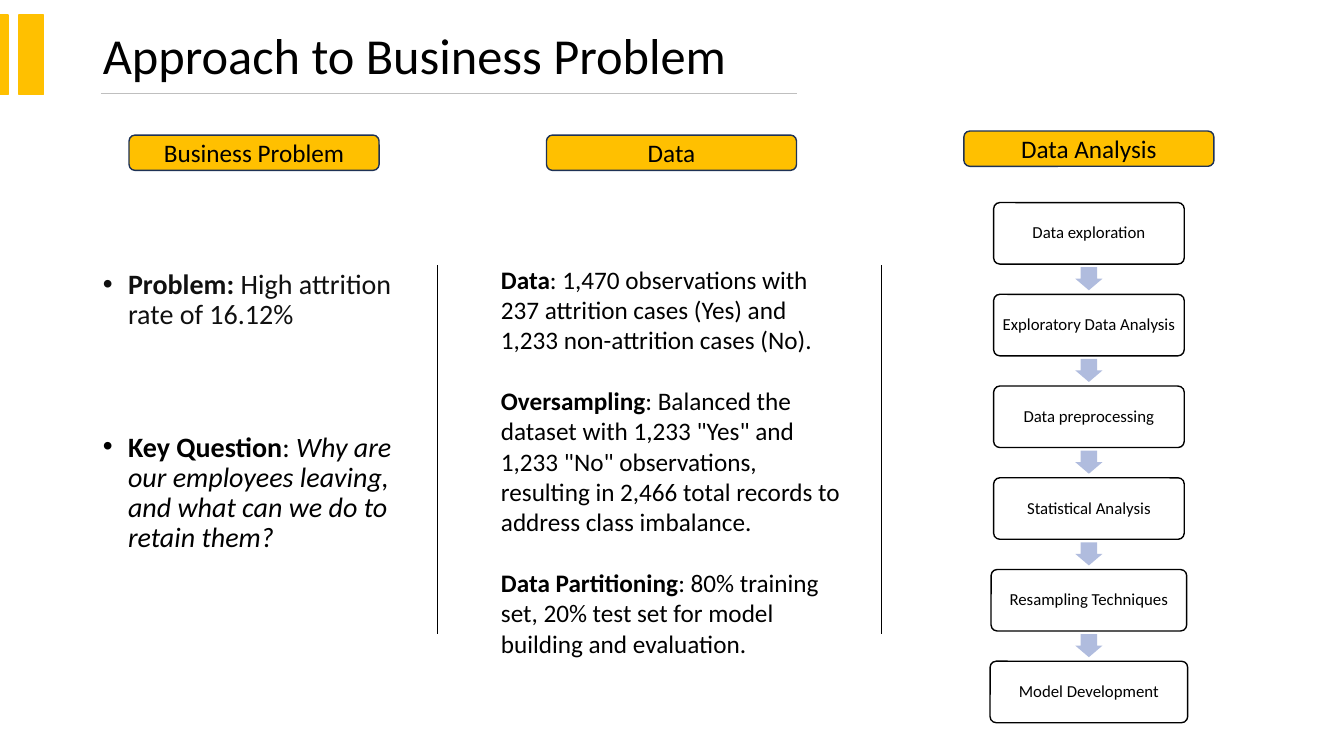
from lxml import etree
from pptx import Presentation
from pptx.dml.color import RGBColor
from pptx.enum.shapes import MSO_CONNECTOR, MSO_SHAPE
from pptx.enum.text import MSO_ANCHOR, MSO_AUTO_SIZE, PP_ALIGN
from pptx.oxml.ns import qn
from pptx.util import Inches, Pt

RECTANGLE = MSO_SHAPE.RECTANGLE
ROUNDED = MSO_SHAPE.ROUNDED_RECTANGLE
DOWN_ARROW = MSO_SHAPE.DOWN_ARROW
STRAIGHT = MSO_CONNECTOR.STRAIGHT
MIDDLE, TOP = MSO_ANCHOR.MIDDLE, MSO_ANCHOR.TOP
CENTER, LEFT = PP_ALIGN.CENTER, PP_ALIGN.LEFT

FONT = "Calibri"
GOLD, NAVY, ARROW_BLUE = "FFC000", "1E3256", "B0BCDE"
BLACK, INK, WHITE, GRAY = "000000", "101010", "FFFFFF", "BFBFBF"

STEPS = ["Data exploration", "Exploratory Data Analysis", "Data preprocessing",
         "Statistical Analysis", "Resampling Techniques", "Model Development"]
STEP_WIDTHS = [1.89, 1.89, 1.89, 1.89, 1.94, 1.96]

# Each paragraph is a list of (text, style, colour)
PROBLEM = [
    [("Problem: ", "bold", INK), ("High attrition rate of 16.12%", "", INK)],
    [("Key Question", "bold", BLACK), (": ", "", BLACK),
     ("Why are our employees leaving, and what can we do to retain them?",
      "italic", BLACK)],
]
DATA = [
    [("Data", "bold", BLACK),
     (": 1,470 observations with 237 attrition cases (Yes) and "
      "1,233 non-attrition cases (No).", "", BLACK)],
    [("Oversampling", "bold", BLACK),
     (': Balanced the dataset with 1,233 "Yes" and 1,233 "No" observations, '
      "resulting in 2,466 total records to address class imbalance.", "", BLACK)],
    [("Data Partitioning", "bold", BLACK),
     (": 80% training set, 20% test set for model building and evaluation.",
      "", BLACK)],
]


def rgb(color):
    return RGBColor.from_string(color)


def place(item, box):
    item.left, item.top, item.width, item.height = map(Inches, box)


def add_box(page, kind, box, fill, line=None):
    shape = page.shapes.add_shape(kind, *map(Inches, box))
    shape.shadow.inherit = False
    shape.fill.solid()
    shape.fill.fore_color.rgb = rgb(fill)
    if line:
        shape.line.color.rgb = rgb(line)
        shape.line.width = Pt(1)
    else:
        shape.line.fill.background()
    return shape


def add_rule(page, start, end, color):
    rule = page.shapes.add_connector(STRAIGHT, *map(Inches, start + end))
    rule.line.color.rgb = rgb(color)
    rule.line.width = Pt(0.5)
    etree.SubElement(rule._element.spPr, qn("a:effectLst"))


def set_label(shape, text, size, alignment=CENTER):
    frame = shape.text_frame
    frame.word_wrap = True
    frame.vertical_anchor = MIDDLE
    para = frame.paragraphs[0]
    para.text = text
    para.alignment = alignment
    para.font.name = FONT
    para.font.size = Pt(size)
    para.font.color.rgb = rgb(BLACK)
    return para


def fill_paragraphs(frame, content, size, gap):
    """Write styled paragraphs, with gap points before all but the first."""
    frame.word_wrap = True
    frame.vertical_anchor = TOP
    for index, spans in enumerate(content):
        para = frame.add_paragraph() if index else frame.paragraphs[0]
        para.alignment = LEFT
        para.font.name = FONT
        para.font.size = Pt(size)
        para.space_before = Pt(gap if index else 0)
        for text, style, color in spans:
            span = para.add_run()
            span.text = text
            span.font.bold = style == "bold"
            span.font.italic = style == "italic"
            span.font.color.rgb = rgb(color)


def add_header(page, box):
    left, top, width, height = box
    for bar_left, bar_width in ((0, 0.08), (0.19, 0.24)):
        add_box(page, RECTANGLE, (bar_left, 0.15, bar_width, 0.79), GOLD, GOLD)
    title = page.shapes.title
    place(title, box)
    set_label(title, "Approach to Business Problem", 36, LEFT).line_spacing = 0.9
    title.text_frame.auto_size = MSO_AUTO_SIZE.NONE
    bottom = top + height
    add_rule(page, (left + 0.08, bottom), (left + 6.98, bottom), GRAY)


def add_heading(page, text, left, top):
    heading = add_box(page, ROUNDED, (left, top, 2.48, 0.35), GOLD, NAVY)
    set_label(heading, text, 18)


def add_problem(page, box):
    body = page.placeholders[1]
    place(body, box)
    frame = body.text_frame
    frame.auto_size = MSO_AUTO_SIZE.NONE
    fill_paragraphs(frame, PROBLEM, 20, 73)
    for para in frame.paragraphs:
        para.line_spacing = 0.9
        properties = para._p.get_or_add_pPr()
        properties.set("marL", str(Inches(0.25)))
        properties.set("indent", str(-Inches(0.25)))
        bullet = etree.SubElement(properties, qn("a:buChar"))
        bullet.set("char", "•")


def add_data(page, box):
    text_box = page.shapes.add_textbox(*map(Inches, box))
    fill_paragraphs(text_box.text_frame, DATA, 18, 22)


def add_analysis(page, center, top):
    """Stack the process steps around a vertical axis, joined by arrows."""
    pitch, height = 0.91, 0.61
    for index, (text, width) in enumerate(zip(STEPS, STEP_WIDTHS)):
        step_top = top + index * pitch
        step = add_box(page, ROUNDED,
                       (center - width / 2, step_top, width, height), WHITE, BLACK)
        step.adjustments[0] = 0.1
        frame = step.text_frame
        frame.margin_left = frame.margin_right = Inches(0.05)
        frame.margin_top = frame.margin_bottom = Inches(0.05)
        set_label(step, text, 12).line_spacing = 0.9
        if index < len(STEPS) - 1:
            arrow = add_box(page, DOWN_ARROW,
                            (center - 0.135, step_top + height + 0.03, 0.27, 0.23),
                            ARROW_BLUE)
            arrow.adjustments[0] = 0.6
            arrow.adjustments[1] = 0.5


def main():
    deck = Presentation()
    deck.slide_width, deck.slide_height = Inches(13.33), Inches(7.5)
    page = deck.slides.add_slide(deck.slide_layouts[1])
    add_header(page, (0.92, 0.22, 11.5, 0.71))
    add_heading(page, "Business Problem", 1.28, 1.34)
    add_heading(page, "Data", 5.42, 1.34)
    add_heading(page, "Data Analysis", 9.56, 1.3)
    add_problem(page, (0.92, 2.63, 3.14, 4.76))
    add_data(page, (4.87, 2.57, 3.59, 4.34))
    add_analysis(page, 10.8, 2.01)
    for divider in (4.34, 8.74):
        add_rule(page, (divider, 2.63), (divider, 6.29), BLACK)
    deck.save("out.pptx")


if __name__ == "__main__":
    main()
